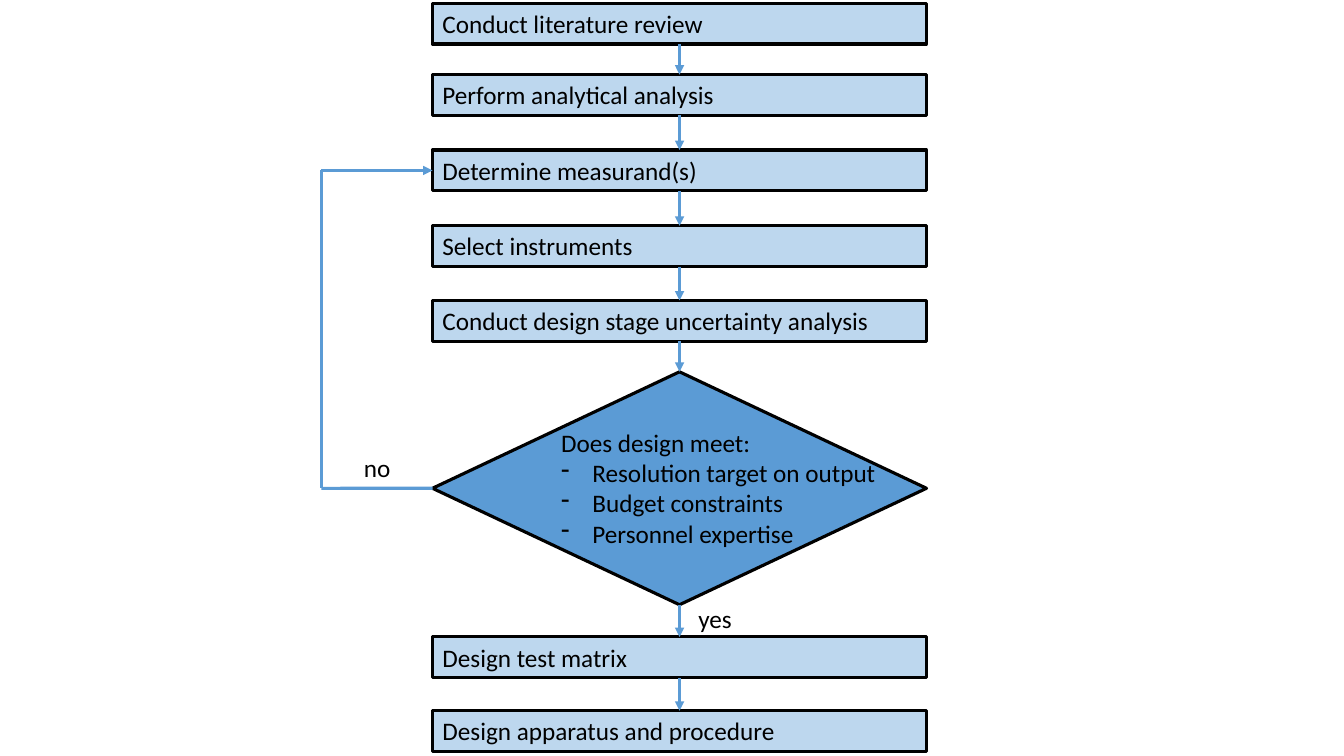
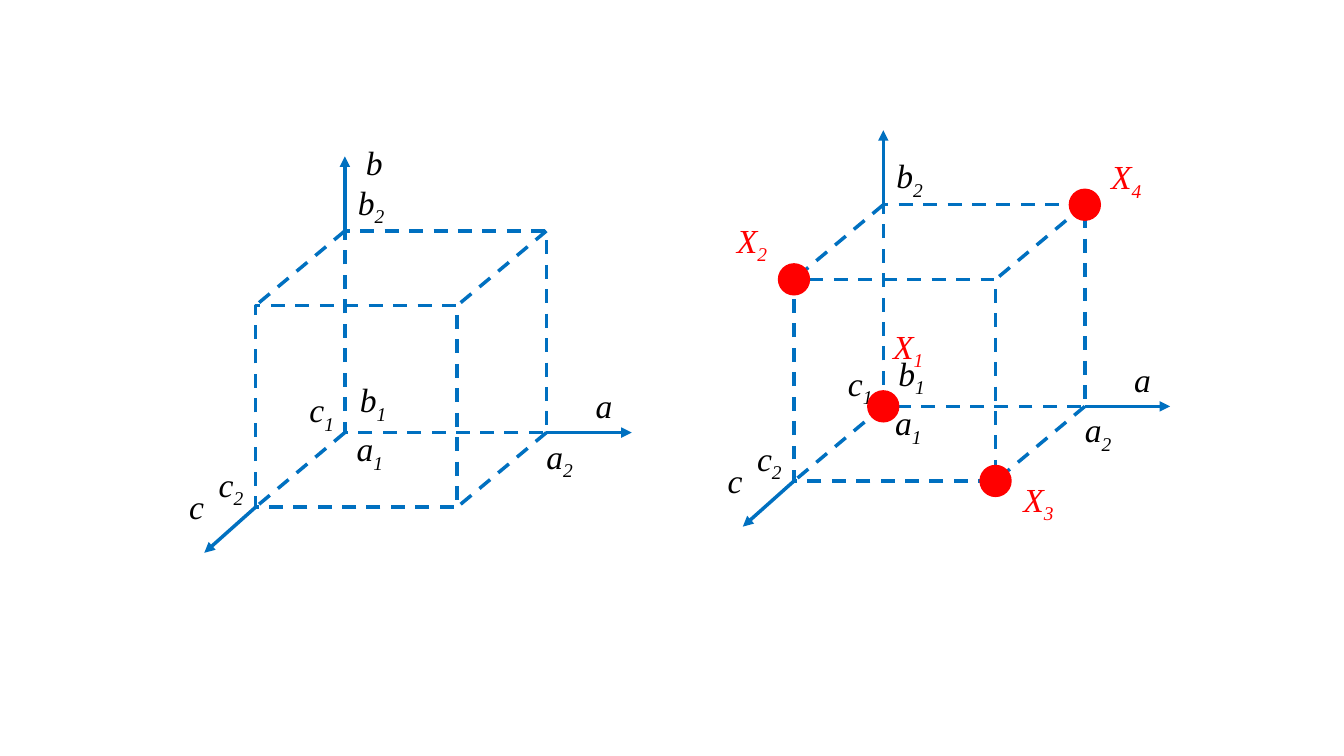
from itertools import pairwise

from pptx import Presentation
from pptx.dml.color import RGBColor
from pptx.enum.dml import MSO_LINE
from pptx.enum.shapes import MSO_CONNECTOR, MSO_SHAPE
from pptx.enum.text import MSO_ANCHOR, MSO_AUTO_SIZE, PP_ALIGN
from pptx.oxml.ns import qn
from pptx.oxml.xmlchemy import OxmlElement
from pptx.util import Cm, Pt

COLOURS = {
    "ink": "000000",
    "step": "BDD7EE",
    "flow": "5B9BD5",
    "cube": "0070C0",
    "dot": "FF0000",
}
FONTS = {
    "flow": {"name": "Calibri", "size": Pt(18)},
    "math": {"name": "Times New Roman", "size": Pt(24), "italic": True},
}
STROKES = {
    "outline": {"colour": "ink", "width": 2.25},
    "flow": {"colour": "flow", "width": 2.25},
    "axis": {"colour": "cube", "width": 2.5},
    "edge": {"colour": "cube", "width": 2.5, "dash": MSO_LINE.DASH},
    "dot": {"colour": "dot", "width": 1},
}
FRAME = {
    "word_wrap": True,
    "auto_size": MSO_AUTO_SIZE.SHAPE_TO_FIT_TEXT,
    "vertical_anchor": MSO_ANCHOR.TOP,
}
TOP, LEFT, BOTTOM = 0, 1, 2


def colour(name):
    return RGBColor.from_string(COLOURS[name])


def set_values(target, values):
    for name, value in values.items():
        setattr(target, name, value)


class Sketch:
    def __init__(self):
        self.deck = Presentation()
        set_values(self.deck, {"slide_width": Cm(33.87), "slide_height": Cm(19.05)})
        self.page = None

    def new_page(self):
        self.page = self.deck.slides.add_slide(self.deck.slide_layouts[6])

    def stroke(self, line, name):
        values = STROKES[name]
        line.color.rgb = colour(values["colour"])
        line.width = Pt(values["width"])
        if "dash" in values:
            line.dash_style = values["dash"]

    def shape(self, kind, left, top, width, height, stroke, fill=None):
        shape = self.page.shapes.add_shape(
            kind, Cm(left), Cm(top), Cm(width), Cm(height))
        shape.shadow.inherit = False
        if fill:
            shape.fill.solid()
            shape.fill.fore_color.rgb = colour(fill)
        else:
            shape.fill.background()
        self.stroke(shape.line, stroke)
        return shape

    def line(self, start, end, stroke, arrow=False):
        line = self.page.shapes.add_connector(
            MSO_CONNECTOR.STRAIGHT, *map(Cm, (*start, *end)))
        self.stroke(line.line, stroke)
        properties = line._element.spPr
        if arrow:
            tail = OxmlElement("a:tailEnd")
            tail.set("type", "triangle")
            properties.find(qn("a:ln")).append(tail)
        properties.append(OxmlElement("a:effectLst"))
        return line

    def join(self, upper, lower):
        """Draw an arrow from the bottom of one shape to the top of the next."""
        arrow = self.line((0, 0), (0, 0), "flow", arrow=True)
        arrow.begin_connect(upper, BOTTOM)
        arrow.end_connect(lower, TOP)

    def fill_text(self, box, lines, font, ink="ink"):
        """Fill a box; "- " starts a bullet and "_" starts a subscript."""
        frame = box.text_frame
        set_values(frame, FRAME)
        for index, line in enumerate(lines):
            para = frame.paragraphs[0] if index == 0 else frame.add_paragraph()
            para.alignment = PP_ALIGN.LEFT
            if line.startswith("- "):
                self.bullet(para)
            base, _, subscript = line.removeprefix("- ").partition("_")
            for text, offset in ((base, None), (subscript, "-25000")):
                if not text:
                    continue
                span = para.add_run()
                span.text = text
                set_values(span.font, FONTS[font])
                span.font.color.rgb = colour(ink)
                if offset:
                    span._r.get_or_add_rPr().set("baseline", offset)

    def bullet(self, para):
        properties = para._p.get_or_add_pPr()
        indent = Cm(0.79)
        properties.set("marL", str(indent))
        properties.set("indent", str(-indent))
        mark = OxmlElement("a:buChar")
        mark.set("char", "-")
        properties.append(mark)

    def text(self, left, top, width, height, lines, font, ink="ink"):
        box = self.page.shapes.add_textbox(
            Cm(left), Cm(top), Cm(width), Cm(height))
        self.fill_text(box, lines, font, ink)

    def step(self, text, left, top, width, height):
        box = self.shape(
            MSO_SHAPE.RECTANGLE, left, top, width, height, "outline", "step")
        self.fill_text(box, [text], "flow")
        return box

    def cube(self, origin, side, depth, labels):
        """Draw a dashed cube on three axes; origin is its rear lower left corner."""
        x, y = origin
        across, down = depth
        rear = [(x, y - side), (x + side, y - side), (x + side, y), (x, y)]
        front = [(left + across, top + down) for left, top in rear]
        for corners in (rear, front):
            self.shape(MSO_SHAPE.RECTANGLE, *corners[0], side, side, "edge")
        for start, end in zip(rear, front):
            self.line(start, end, "edge")
        for (left, top), (right, low) in (
                (rear[2], (2.15, 0)), (rear[0], (0, -1.88)), (front[3], (-1.29, 1.15))):
            self.line((left, top), (left + right, top + low), "axis", arrow=True)
        for label, (right, low) in labels.items():
            self.text(x + right, y + low, 1.24, 1.28, [label], "math")
        return rear, front


def draw_flowchart(sketch):
    sketch.new_page()
    left, width, height = 10.9, 12.45, 1.03
    decision_top, decision_height = 9.37, 5.87
    middle = decision_top + decision_height / 2
    loop_left, loop_top = 8.1, 3.78 + height / 2
    before = {
        "Conduct literature review": 0.08,
        "Perform analytical analysis": 1.88,
        "Determine measurand(s)": 3.78,
        "Select instruments": 5.69,
        "Conduct design stage uncertainty analysis": 7.57,
    }
    after = {"Design test matrix": 16.05, "Design apparatus and procedure": 17.91}

    first, last = (
        [sketch.step(text, left, top, width, height) for text, top in steps.items()]
        for steps in (before, after))
    decision = sketch.shape(
        MSO_SHAPE.FLOWCHART_DECISION, left, decision_top, width, decision_height,
        "outline", "flow")
    sketch.text(13.89, 10.64, 9.93, 3.33, [
        "Does design meet:",
        "- Resolution target on output",
        "- Budget constraints",
        "- Personnel expertise",
    ], "flow")
    for upper, lower in pairwise([*first, decision, *last]):
        sketch.join(upper, lower)

    out = sketch.line((left, middle), (loop_left, middle), "flow")
    out.begin_connect(decision, LEFT)
    sketch.line((loop_left, loop_top), (loop_left, middle), "flow")
    back = sketch.line((loop_left, loop_top), (left, loop_top), "flow", arrow=True)
    back.end_connect(first[2], LEFT)
    sketch.text(8.92, 11.28, 1.98, 1.03, ["no"], "flow")
    sketch.text(17.35, 15.09, 1.98, 1.03, ["yes"], "flow")


def draw_cubes(sketch):
    sketch.new_page()
    side, depth, dot = 5.08, (-2.25, 1.88), 0.78
    labels = {
        "a": (6.07, -1.32), "c": (-4.17, 1.22),
        "a_2": (4.83, -0.05), "a_1": (0.05, -0.23),
        "b_2": (0.08, -6.45), "b_1": (0.13, -1.47),
        "c_1": (-1.14, -1.22), "c_2": (-3.43, 0.66),
    }
    sketch.cube((8.69, 10.9), side, depth, {**labels, "b": (0.28, -7.44)})
    x, y = 22.26, 10.24
    rear, front = sketch.cube((x, y), side, depth, labels)
    for left, top in (rear[1], front[0], rear[3], front[2]):
        sketch.shape(
            MSO_SHAPE.OVAL, left - dot / 2, top - dot / 2, dot, dot, "dot", "dot")
    points = {
        "X_4": (5.49, -6.43), "X_1": (0, -2.16),
        "X_2": (-3.94, -4.83), "X_3": (3.28, 1.7),
    }
    for label, (right, low) in points.items():
        sketch.text(x + right, y + low, 1.85, 1.28, [label], "math", "dot")


def main():
    sketch = Sketch()
    draw_flowchart(sketch)
    draw_cubes(sketch)
    sketch.deck.save("out.pptx")


if __name__ == "__main__":
    main()
